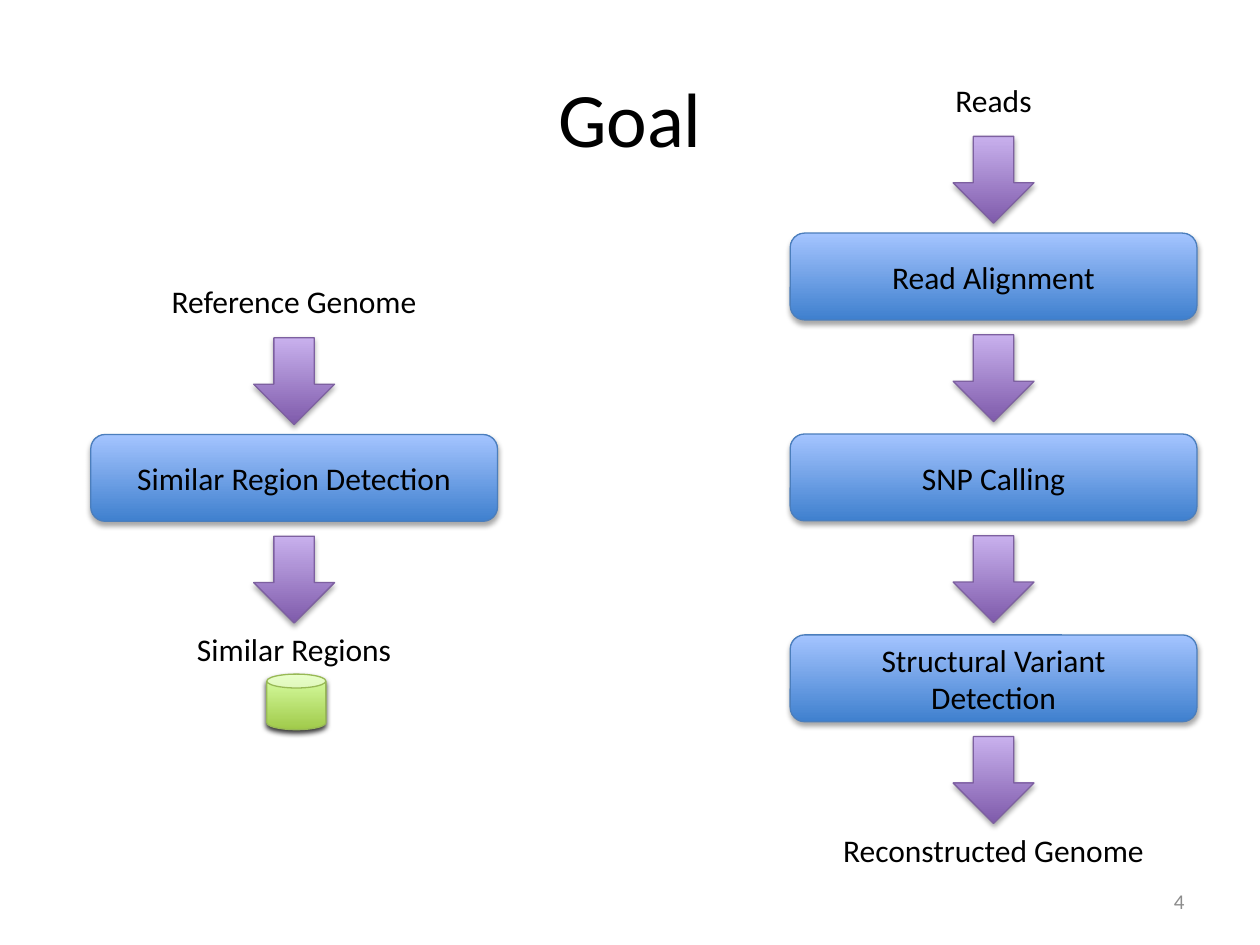
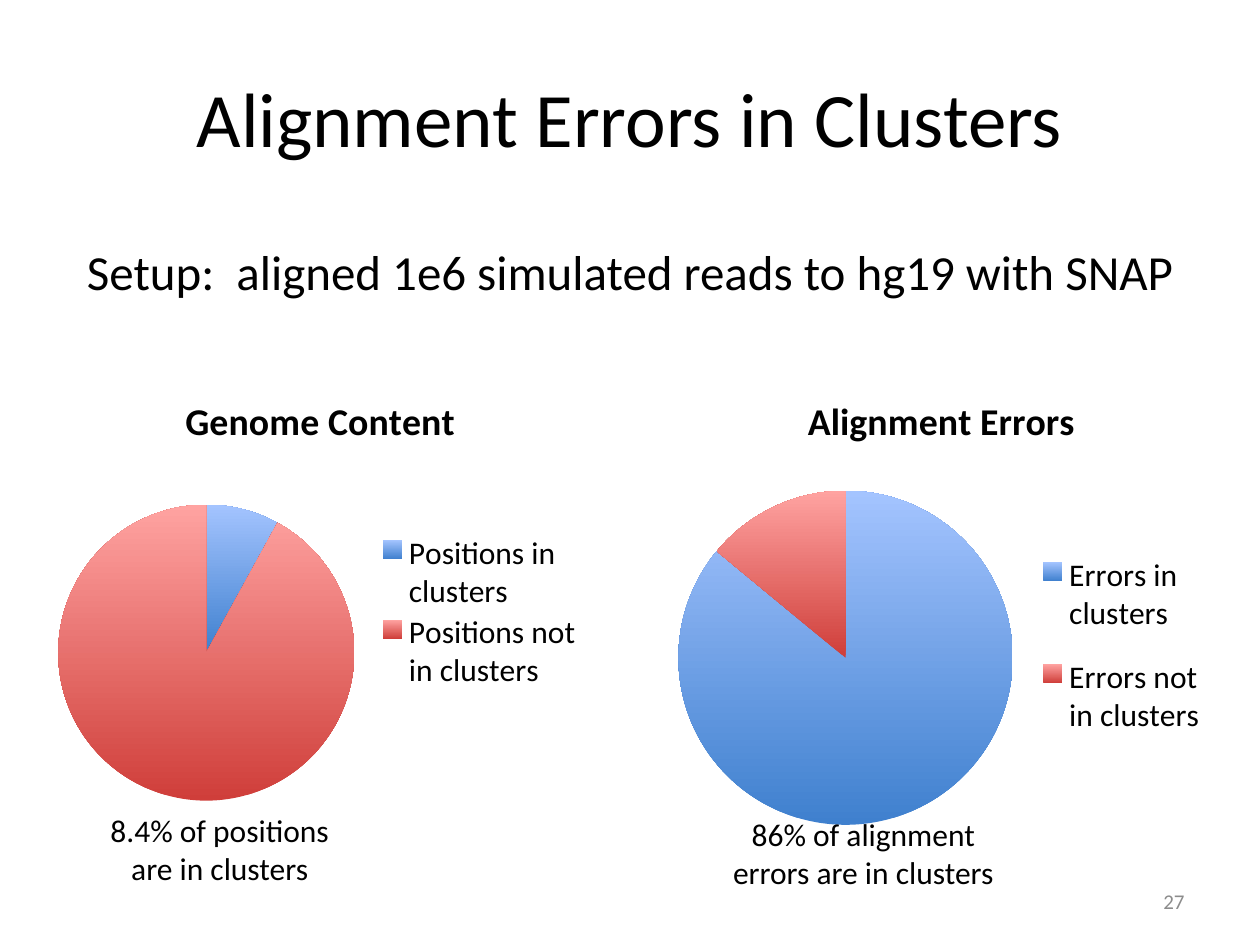
from dataclasses import dataclass

from lxml.etree import SubElement
from pptx import Presentation
from pptx.chart.data import CategoryChartData
from pptx.dml.color import RGBColor
from pptx.enum.chart import XL_CHART_TYPE, XL_LEGEND_POSITION
from pptx.enum.shapes import MSO_SHAPE
from pptx.enum.text import MSO_ANCHOR, PP_ALIGN
from pptx.oxml.ns import qn
from pptx.util import Cm, Pt


@dataclass(frozen=True)
class Theme:
    font: str = "Calibri"
    ink: str = "000000"
    gray: str = "8C8C8C"
    # bottom colour, top colour, outline
    blue: tuple = ("3F80CE", "A4C4FF", "4B7EBC")
    purple: tuple = ("7F5BAB", "C8B0ED", "7D60A0")
    green: tuple = ("A0CA4A", "DAFFA5", "98B955")
    red: tuple = ("CF3E3A", "FFA3A1", "BE4B48")
    title: float = 44
    lead: float = 28
    head: float = 21.6
    body: float = 18
    note: float = 12


THEME = Theme()
PITCH = 4.05
BOX_W, BOX_H = 8.2, 1.75
ARROW_W = 1.63
LABEL_H = 1.02


def apply(item, look):
    for name, value in look.items():
        setattr(item, name, value)


def shade(fill, tone):
    """Fill with a vertical gradient, light at the top."""
    fill.gradient()
    fill.gradient_angle = 90
    for stop, color in zip(fill.gradient_stops, tone):
        stop.color.rgb = RGBColor.from_string(color)


def place(node, index, *spot):
    """Pin a chart part at fractions x, y and, if given, w, h."""
    for old in node.findall(qn("c:layout")):
        node.remove(old)
    layout = SubElement(node, qn("c:layout"))
    node.insert(index, layout)
    manual = SubElement(layout, qn("c:manualLayout"))
    if node.tag == qn("c:plotArea"):
        SubElement(manual, qn("c:layoutTarget"), val="inner")
    for name in ("xMode", "yMode"):
        SubElement(manual, qn(f"c:{name}"), val="edge")
    for name, value in zip("xywh", spot):
        SubElement(manual, qn(f"c:{name}"), val=str(value))


class Deck:
    def __init__(self, theme):
        self.theme = theme
        self.prs = Presentation()
        apply(self.prs, {"slide_width": Cm(25.4), "slide_height": Cm(19.05)})
        self.slide = None

    def start(self, title, page):
        self.slide = self.prs.slides.add_slide(self.prs.slide_layouts[6])
        self.text(title, 1.27, 0.76, 22.86, 3.18, size=self.theme.title,
                  anchor=MSO_ANCHOR.MIDDLE)
        self.text(page, 18.21, 17.65, 5.92, LABEL_H, size=self.theme.note,
                  color=self.theme.gray, align=PP_ALIGN.RIGHT,
                  anchor=MSO_ANCHOR.MIDDLE)

    def style(self, font, size, color=None, bold=False):
        apply(font, {"name": self.theme.font, "size": Pt(size), "bold": bold})
        font.color.rgb = RGBColor.from_string(color or self.theme.ink)

    def label(self, frame, words, size=None, color=None,
              align=PP_ALIGN.CENTER, anchor=MSO_ANCHOR.TOP):
        apply(frame, {"text": words, "word_wrap": True,
                      "vertical_anchor": anchor})
        for para in frame.paragraphs:
            para.alignment = align
            self.style(para.font, size or self.theme.body, color)

    def text(self, words, x, y, w, h, **look):
        box = self.slide.shapes.add_textbox(Cm(x), Cm(y), Cm(w), Cm(h))
        self.label(box.text_frame, words, **look)

    def shape(self, kind, tone, x, y, w, h, words="", dark=35):
        """Draw a glossy shape; dark is the shadow's strength in percent."""
        item = self.slide.shapes.add_shape(kind, Cm(x), Cm(y), Cm(w), Cm(h))
        shade(item.fill, tone)
        item.line.color.rgb = RGBColor.from_string(tone[2])
        item.line.width = Pt(0.75)
        item.shadow.inherit = False
        effects = item.element.spPr.find(qn("a:effectLst"))
        shadow = SubElement(effects, qn("a:outerShdw"), blurRad=str(Pt(3.1)),
                            dist=str(Pt(1.8)), dir="5400000", rotWithShape="0")
        color = SubElement(shadow, qn("a:srgbClr"), val=self.theme.ink)
        SubElement(color, qn("a:alpha"), val=str(dark * 1000))
        if words:
            self.label(item.text_frame, words, anchor=MSO_ANCHOR.MIDDLE)

    def flow(self, x, top, source, steps, result):
        """Stack steps from top with an arrow before, between and after."""
        mid = x + (BOX_W - ARROW_W) / 2
        last = top + PITCH * (len(steps) - 1)
        tops = [top + PITCH * i for i in range(len(steps))]
        for y, step in zip(tops, steps):
            self.shape(MSO_SHAPE.ROUNDED_RECTANGLE, self.theme.blue,
                       x, y, BOX_W, BOX_H, step)
        for y in [top - 1.95] + [y + 2.05 for y in tops]:
            self.shape(MSO_SHAPE.DOWN_ARROW, self.theme.purple,
                       mid, y, ARROW_W, BOX_H)
        self.text(source, x, top - 3.2, BOX_W, LABEL_H)
        self.text(result, x, last + 3.82, BOX_W, LABEL_H)

    def pie(self, x, name, shares, plot, key):
        data = CategoryChartData()
        data.categories = shares.keys()
        data.add_series(name, shares.values())
        chart = self.slide.shapes.add_chart(
            XL_CHART_TYPE.PIE, Cm(x), Cm(7.19), Cm(11.23), Cm(10.29),
            data).chart
        apply(chart, {"has_title": True, "has_legend": True})
        self.style(chart.font, self.theme.body)
        title = chart.chart_title
        title.text_frame.text = name
        self.style(title.text_frame.paragraphs[0].runs[0].font,
                   self.theme.head, bold=True)
        apply(chart.legend, {"position": XL_LEGEND_POSITION.RIGHT,
                             "include_in_layout": False})
        chart.plots[0].vary_by_categories = True
        points = chart.plots[0].series[0].points
        for i, tone in enumerate((self.theme.blue, self.theme.red)):
            shade(points[i].format.fill, tone)
        root = chart.element
        place(root.find(f".//{qn('c:title')}"), 1, 0.25, 0.06)
        place(root.find(f".//{qn('c:plotArea')}"), 0, *plot)
        place(root.find(f".//{qn('c:legend')}"), 1, *key)


def goal(deck):
    deck.start("Goal", "4")
    deck.flow(15.93, 4.7, "Reads",
              ["Read Alignment", "SNP Calling",
               "Structural Variant\nDetection"],
              "Reconstructed Genome")
    deck.flow(1.83, 8.76, "Reference Genome", ["Similar Region Detection"],
              "Similar Regions")
    deck.shape(MSO_SHAPE.CAN, deck.theme.green, 5.38, 13.59, 1.19, 1.12,
               dark=80)


def errors(deck):
    deck.start("Alignment Errors in Clusters", "27")
    deck.pie(0.79, "Genome Content",
             {"Positions in clusters": 8, "Positions not in clusters": 92},
             (0.03, 0.29, 0.54, 0.58), (0.6, 0.34, 0.38, 0.32))
    deck.pie(13.34, "Alignment Errors",
             {"Errors in clusters": 86, "Errors not in clusters": 14},
             (0.03, 0.26, 0.6, 0.66), (0.67, 0.34, 0.31, 0.45))
    deck.text("8.4% of positions are in clusters", 1.75, 16.23, 5.36, 1.8)
    deck.text("86% of alignment errors are in clusters",
              14.38, 16.31, 6.05, 1.8)
    deck.text("Setup:  aligned 1e6 simulated reads to hg19 with SNAP",
              1.27, 4.75, 22.86, 1.45, size=deck.theme.lead)


def main():
    deck = Deck(THEME)
    goal(deck)
    errors(deck)
    deck.prs.save("out.pptx")


if __name__ == "__main__":
    main()
